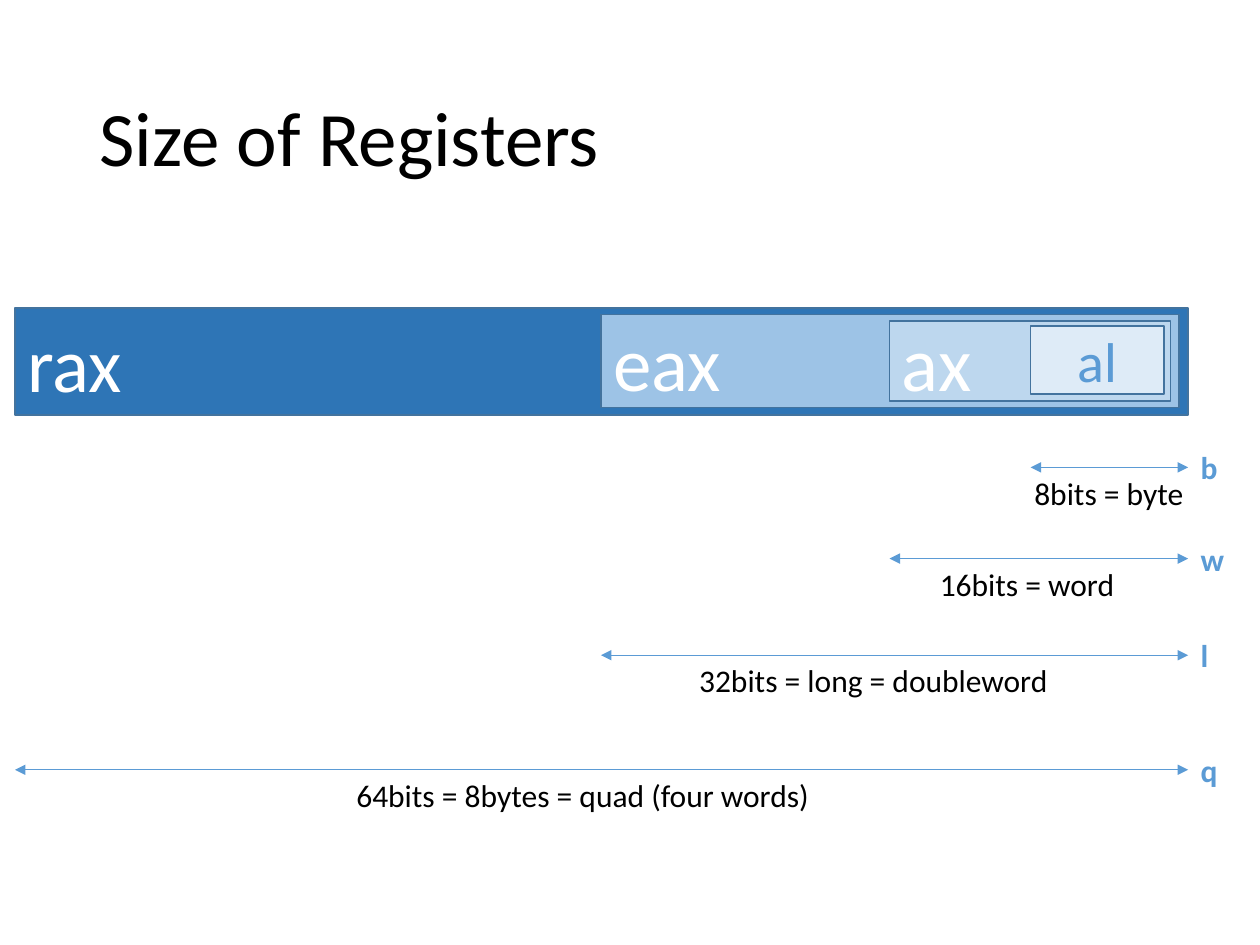
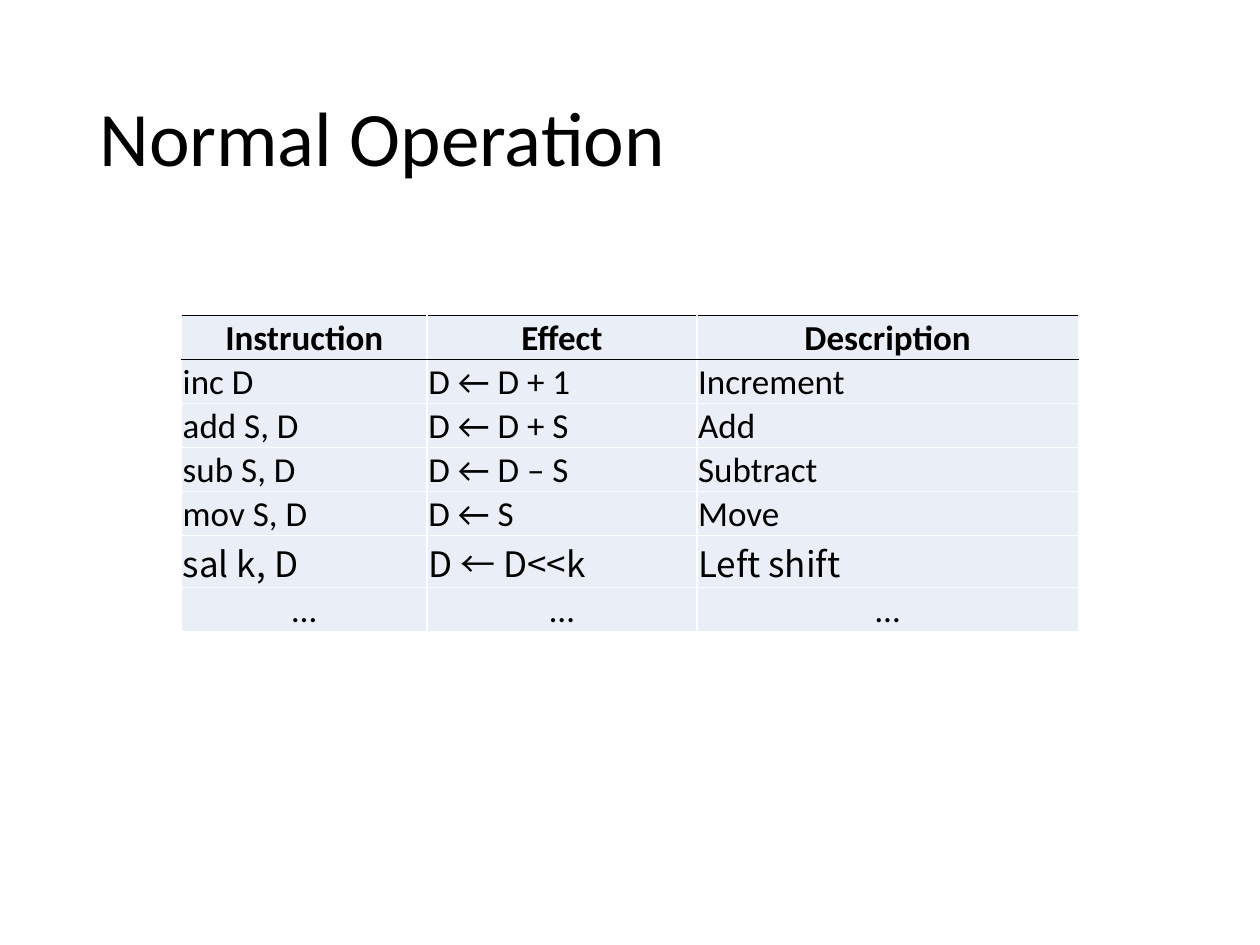
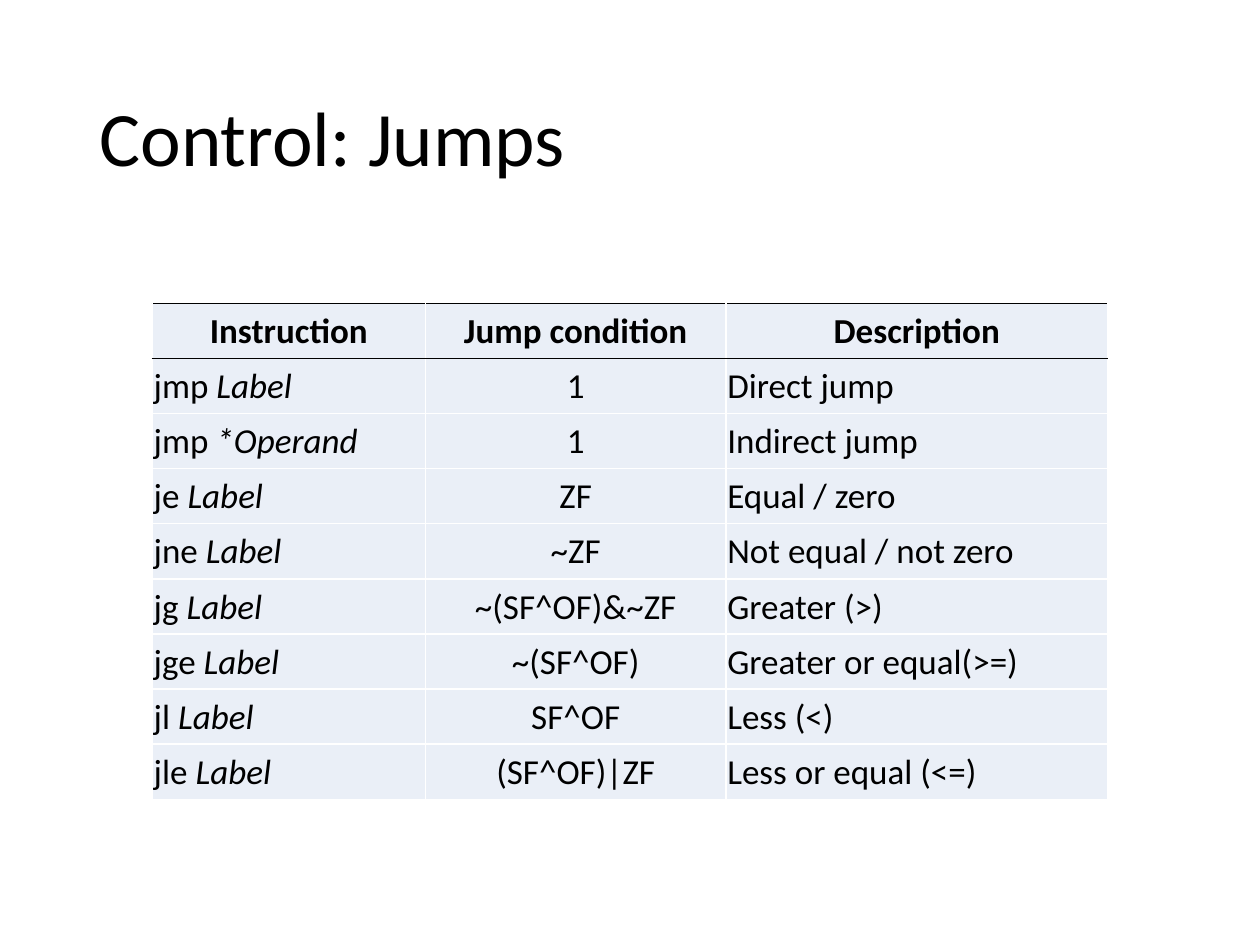
from lxml import etree
from pptx import Presentation
from pptx.dml.color import RGBColor
from pptx.enum import shapes, text
from pptx.oxml import ns
from pptx.util import Pt

BLACK = RGBColor(0x00, 0x00, 0x00)
WHITE = RGBColor(0xFF, 0xFF, 0xFF)
ACCENT = RGBColor(0x5B, 0x9B, 0xD5)
OUTLINE = RGBColor(0x43, 0x73, 0x9E)
CELL_FILL = RGBColor(0xEA, 0xEF, 0xF7)
REGISTER_FILLS = [
    RGBColor(0x2E, 0x75, 0xB6),
    RGBColor(0x9D, 0xC3, 0xE6),
    RGBColor(0xBD, 0xD7, 0xEE),
    RGBColor(0xDE, 0xEB, 0xF7),
]
FONT = "Calibri"
WIDE_FONT = "Noto Sans CJK KR"
LEFT = text.PP_ALIGN.LEFT
CENTER = text.PP_ALIGN.CENTER
MIDDLE = text.MSO_ANCHOR.MIDDLE


def points(*lengths):
    return [Pt(length) for length in lengths]


def format_run(run, size, color, bold=False, italic=False, name=FONT):
    font = run.font
    font.name, font.size, font.color.rgb = name, Pt(size), color
    font.bold, font.italic = bold, italic


def fill_text(shape, content, size, color, bold=False, align=LEFT):
    shape.text_frame.text = content
    paragraph = shape.text_frame.paragraphs[0]
    paragraph.alignment = align
    format_run(paragraph.runs[0], size, color, bold)
    return paragraph


def add_label(slide, box, content, color=BLACK, bold=False):
    label = slide.shapes.add_textbox(*points(*box))
    label.text_frame.auto_size = text.MSO_AUTO_SIZE.SHAPE_TO_FIT_TEXT
    fill_text(label, content, 18, color, bold)


def add_title_slide(presentation, title):
    slide = presentation.slides.add_slide(presentation.slide_layouts[6])
    shape = slide.shapes.add_textbox(*points(49.8, 28.75, 621, 104.4))
    shape.text_frame.word_wrap = True
    shape.text_frame.vertical_anchor = MIDDLE
    fill_text(shape, title, 44, BLACK).line_spacing = 0.9
    return slide


def add_register(slide, box, name, fill, size, color, align):
    shape = slide.shapes.add_shape(shapes.MSO_SHAPE.RECTANGLE, *points(*box))
    shape.shadow.inherit = False
    shape.fill.solid()
    shape.fill.fore_color.rgb = fill
    shape.line.color.rgb, shape.line.width = OUTLINE, Pt(1)
    shape.text_frame.vertical_anchor = MIDDLE
    fill_text(shape, name, size, color, align=align)


def add_span(slide, start, end, y):
    arrow = slide.shapes.add_connector(
        shapes.MSO_CONNECTOR.STRAIGHT, *points(start, y, end, y))
    arrow.line.color.rgb, arrow.line.width = ACCENT, Pt(0.5)
    line = arrow.line._get_or_add_ln()
    for end_name in ("a:headEnd", "a:tailEnd"):
        etree.SubElement(line, ns.qn(end_name), type="triangle")
    etree.SubElement(arrow._element.spPr, ns.qn("a:effectLst"))


def add_register_diagram(slide, box):
    left, top, width, height = box
    right = left + width
    registers = [
        ("rax", 0, 0, width, height, 44, WHITE, LEFT),
        ("eax", 334.8, 3.6, 330.5, 53.3, 44, WHITE, LEFT),
        ("ax", 499.7, 7.2, 160.6, 46.1, 44, WHITE, LEFT),
        ("al", 580.3, 10.4, 76.3, 38.9, 32, ACCENT, CENTER),
    ]
    sizes = [
        ("q", 263.8, "64bits = 8bytes = quad (four words)", 187.9, 294.5),
        ("l", 198.3, "32bits = long = doubleword", 383.8, 232.6),
        ("w", 143.1, "16bits = word", 521.3, 118.8),
        ("b", 91, "8bits = byte", 575.3, 106.6),
    ]
    for register, size, fill in zip(registers, sizes, REGISTER_FILLS):
        name, x, y, register_width, register_height, font_size, color, align = register
        register_box = (left + x, top + y, register_width, register_height)
        add_register(slide, register_box, name, fill, font_size, color, align)
        suffix, drop, caption, caption_x, caption_width = size
        span_y = top + drop
        add_span(slide, left + x, right, span_y)
        add_label(slide, (left + caption_x, span_y, caption_width, 29), caption)
        add_label(slide, (right, span_y - 14.4, 22.3, 29), suffix, ACCENT, True)


def set_borders(cell, top, bottom):
    properties = cell._tc.get_or_add_tcPr()
    borders = [("a:lnL", WHITE), ("a:lnR", WHITE), ("a:lnT", top), ("a:lnB", bottom)]
    for index, (side, color) in enumerate(borders):
        line = etree.Element(ns.qn(side), w=str(Pt(1)))
        fill = etree.SubElement(line, ns.qn("a:solidFill"))
        etree.SubElement(fill, ns.qn("a:srgbClr"), val=str(color))
        properties.insert(index, line)


def fill_cell(cell, content, align, bold, name):
    runs = content if isinstance(content, tuple) else (content,)
    cell.vertical_anchor = MIDDLE
    cell.margin_left = cell.margin_right = cell.margin_top = Pt(0.75)
    cell.margin_bottom = 0
    cell.fill.solid()
    cell.fill.fore_color.rgb = CELL_FILL
    paragraph = cell.text_frame.paragraphs[0]
    paragraph.alignment = align
    for index, part in enumerate(runs):
        run = paragraph.add_run()
        run.text = part
        format_run(run, 20, BLACK, bold, index > 0, name)


def add_instruction_table(slide, origin, rows, widths, heights, aligns,
                          centered_rows=(), wide_rows=()):
    box = (*origin, sum(widths), sum(heights))
    table = slide.shapes.add_table(len(rows), len(widths), *points(*box)).table
    table.first_row = table.horz_banding = False
    for column, width in zip(table.columns, widths):
        column.width = Pt(width)
    for row_index, (row, height) in enumerate(zip(rows, heights)):
        table.rows[row_index].height = Pt(height)
        header = row_index == 0
        for column_index, content in enumerate(row):
            cell = table.cell(row_index, column_index)
            centered = header or row_index in centered_rows
            align = CENTER if centered else aligns[column_index]
            name = WIDE_FONT if row_index in wide_rows else FONT
            fill_cell(cell, content, align, header, name)
            set_borders(cell, BLACK if row_index < 2 else WHITE,
                        BLACK if header else WHITE)


OPERATIONS = [
    ("Instruction", "Effect", "Description"),
    ("inc D", "D ← D + 1", "Increment"),
    ("add S, D", "D ← D + S", "Add"),
    ("sub S, D", "D ← D – S", "Subtract"),
    ("mov S, D", "D ← S", "Move"),
    ("sal k, D", "D ← D<<k", "Left shift"),
    ("…", "…", "…"),
]
JUMPS = [
    ("Instruction", "Jump condition", "Description"),
    (("jmp ", "Label"), "1", "Direct jump"),
    (("jmp ", "*Operand"), "1", "Indirect jump"),
    (("je ", "Label"), "ZF", "Equal / zero"),
    (("jne ", "Label"), "~ZF", "Not equal / not zero"),
    (("jg ", "Label"), "~(SF^OF)&~ZF", "Greater (>)"),
    (("jge ", "Label"), "~(SF^OF)", "Greater or equal(>=)"),
    (("jl ", "Label"), "SF^OF", "Less (<)"),
    (("jle ", "Label"), "(SF^OF)|ZF", "Less or equal (<=)"),
]

presentation = Presentation()
presentation.slide_width, presentation.slide_height = points(720, 540)

add_register_diagram(add_title_slide(presentation, "Size of Registers"),
                     (8.64, 176.1, 670.3, 61.2))
add_instruction_table(add_title_slide(presentation, "Normal Operation"),
                      (103.7, 180.2), OPERATIONS,
                      (140.4, 154.1, 218.1), [25.15] * 5 + [29.8, 25.15],
                      (LEFT, LEFT, LEFT), centered_rows=(6,), wide_rows=(5,))
add_instruction_table(add_title_slide(presentation, "Control: Jumps"),
                      (87.1, 173.3), JUMPS,
                      (156, 171.8, 218), [31.52] * len(JUMPS),
                      (LEFT, CENTER, LEFT))

presentation.save("out.pptx")
